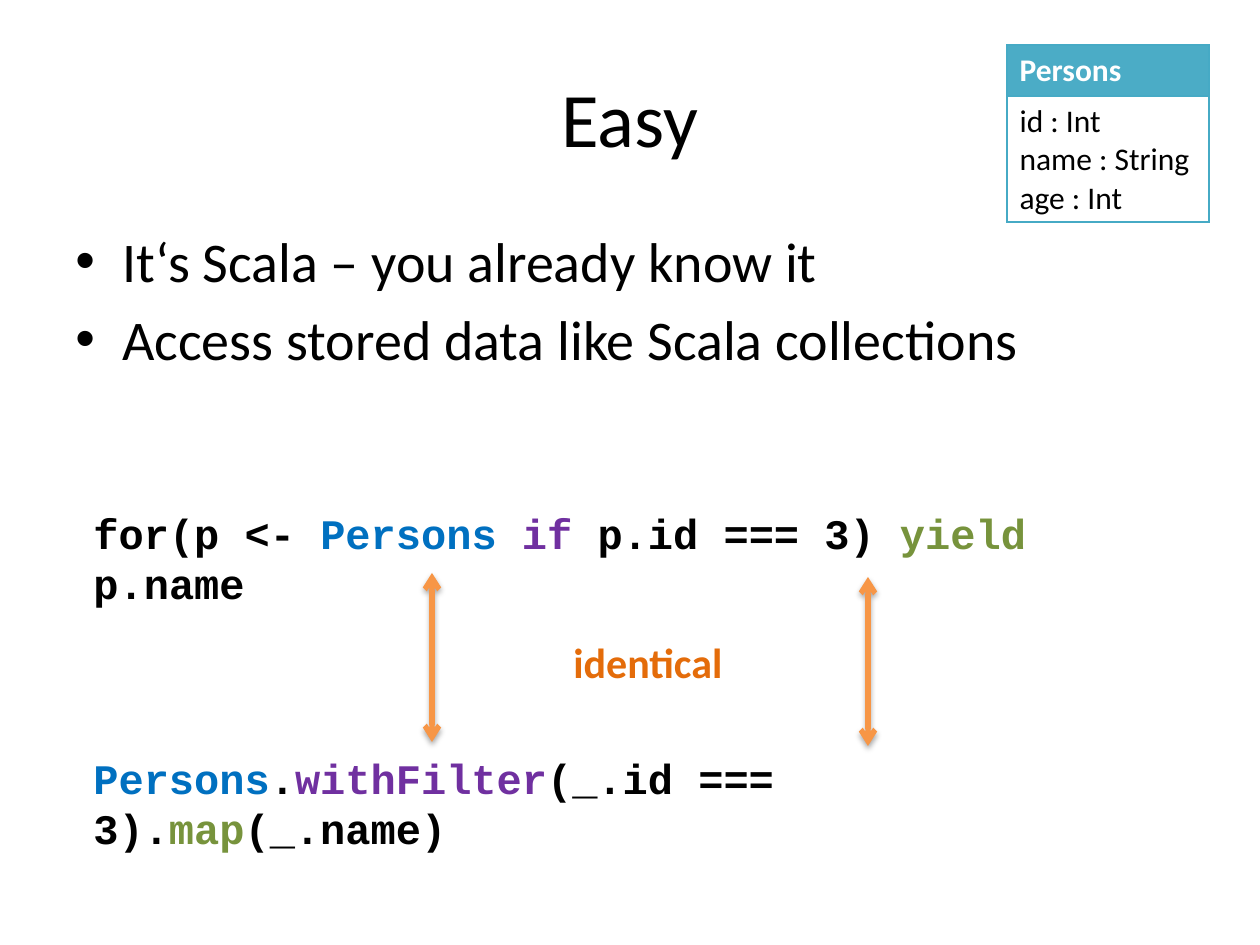
from dataclasses import dataclass

import lxml.etree
import pptx
import pptx.dml.color
import pptx.enum.shapes
import pptx.enum.text
import pptx.oxml
import pptx.oxml.ns
import pptx.util

SCALE = 914400 / 126
BLACK, WHITE = "000000", "FFFFFF"
BLUE, PURPLE, GREEN = "0070C0", "7030A0", "77933C"
ORANGE, DARK_ORANGE = "F79646", "E46C0A"
TEAL, TEAL_EDGE = "4BACC6", "46AAC5"
NAMESPACE = 'xmlns:a="http://schemas.openxmlformats.org/drawingml/2006/main"'


@dataclass
class Span:
    text: str
    color: str = BLACK


@dataclass
class TextBlock:
    left: int
    top: int
    width: int
    height: int
    lines: list[list[Span]]
    size: int
    font: str = "Calibri"
    bold: bool = False
    centered: bool = False
    bulleted: bool = False


@dataclass
class Arrow:
    x: int
    top: int
    bottom: int


@dataclass
class TableRow:
    height: int
    lines: list[str]
    fill: str
    color: str
    bold: bool


def px(value: int) -> pptx.util.Emu:
    return pptx.util.Emu(round(value * SCALE))


def rgb(color: str) -> pptx.dml.color.RGBColor:
    return pptx.dml.color.RGBColor.from_string(color)


def add_xml(parent, markup: str) -> None:
    tag, rest = markup[1:].split(">", 1) if "/" not in markup.split(">", 1)[0] else (markup[1:-2], None)
    tail = "/>" if rest is None else ">" + rest
    parent.append(pptx.oxml.parse_xml(f"<{tag} {NAMESPACE}{tail}"))


def style_font(font, name: str, size: int, bold: bool) -> None:
    font.name = name
    font.size = pptx.util.Pt(size)
    font.bold = bold


def add_bullet(para) -> None:
    para.space_before = pptx.util.Pt(6.4)
    properties = para._p.get_or_add_pPr()
    properties.set("marL", str(px(47)))
    properties.set("indent", str(-px(47)))
    add_xml(properties, '<a:buFont typeface="Arial"/>')
    add_xml(properties, '<a:buChar char="&#8226;"/>')


def draw_text(page, block: TextBlock) -> None:
    box = page.shapes.add_textbox(px(block.left), px(block.top), px(block.width), px(block.height))
    frame = box.text_frame
    frame.word_wrap = True
    if block.centered:
        frame.vertical_anchor = pptx.enum.text.MSO_ANCHOR.MIDDLE
    for index, line in enumerate(block.lines):
        para = frame.add_paragraph() if index else frame.paragraphs[0]
        if block.centered:
            para.alignment = pptx.enum.text.PP_ALIGN.CENTER
        if block.bulleted:
            add_bullet(para)
        style_font(para.font, block.font, block.size, block.bold)
        for span in line:
            run = para.add_run()
            run.text = span.text
            run.font.color.rgb = rgb(span.color)


def draw_arrow(page, arrow: Arrow) -> None:
    line = page.shapes.add_connector(
        pptx.enum.shapes.MSO_CONNECTOR.STRAIGHT, px(arrow.x), px(arrow.top), px(arrow.x), px(arrow.bottom)
    )
    line.line.color.rgb = rgb(ORANGE)
    line.line.width = pptx.util.Pt(3)
    outline = line.line._get_or_add_ln()
    add_xml(outline, '<a:headEnd type="arrow"/>')
    add_xml(outline, '<a:tailEnd type="arrow"/>')
    add_xml(
        line._element.spPr,
        '<a:effectLst><a:outerShdw blurRad="40000" dist="23000" dir="5400000" rotWithShape="0">'
        '<a:srgbClr val="000000"><a:alpha val="35000"/></a:srgbClr></a:outerShdw></a:effectLst>',
    )


def draw_table(page, left: int, top: int, width: int, rows: list[TableRow]) -> None:
    height = sum(row.height for row in rows)
    table = page.shapes.add_table(len(rows), 1, px(left), px(top), px(width), px(height)).table
    table.horz_banding = False
    for index, row in enumerate(rows):
        table.rows[index].height = px(row.height)
        cell = table.cell(index, 0)
        for side in "LRTB":
            add_xml(
                cell._tc.get_or_add_tcPr(),
                f'<a:ln{side} w="9525"><a:solidFill><a:srgbClr val="{TEAL_EDGE}"/></a:solidFill></a:ln{side}>',
            )
        cell.fill.solid()
        cell.fill.fore_color.rgb = rgb(row.fill)
        cell.text = "\n".join(row.lines)
        for para in cell.text_frame.paragraphs:
            style_font(para.font, "Calibri", 18, row.bold)
            para.font.color.rgb = rgb(row.color)
            for run in para.runs:
                style_font(run.font, "Calibri", 18, row.bold)
                run.font.color.rgb = rgb(row.color)


BULLETS = ["It‘s Scala – you already know it", "Access stored data like Scala collections"]
FILTER_CALL = [
    Span("Persons", BLUE), Span("."), Span("withFilter", PURPLE),
    Span("(_.id === 3)."), Span("map", GREEN), Span("(_.name)"),
]
FOR_LOOP = [
    Span("for(p <- "), Span("Persons ", BLUE), Span("if", PURPLE),
    Span(" p.id === 3) "), Span("yield", GREEN), Span(" p.name"),
]
BLOCKS = [
    TextBlock(63, 38, 1134, 157, [[Span("Easy")]], 44, centered=True),
    TextBlock(63, 220, 1134, 624, [[Span(text)] for text in BULLETS], 32, bulleted=True),
    TextBlock(81, 746, 1032, 63, [FILTER_CALL], 24, "Courier New", True),
    TextBlock(81, 501, 1079, 63, [FOR_LOOP], 24, "Courier New", True),
    TextBlock(561, 630, 176, 63, [[Span("identical", DARK_ORANGE)]], 24, bold=True),
]
ARROWS = [Arrow(432, 573, 742), Arrow(868, 577, 746)]
PERSONS = [
    TableRow(51, ["Persons"], TEAL, WHITE, True),
    TableRow(126, ["id : Int", "name : String", "age : Int"], WHITE, BLACK, False),
]

deck = pptx.Presentation()
deck.slide_width, deck.slide_height = px(1260), px(945)
slide = deck.slides.add_slide(deck.slide_layouts[6])
for text_block in BLOCKS:
    draw_text(slide, text_block)
for double_arrow in ARROWS:
    draw_arrow(slide, double_arrow)
draw_table(slide, 1007, 45, 202, PERSONS)
deck.save("out.pptx")
